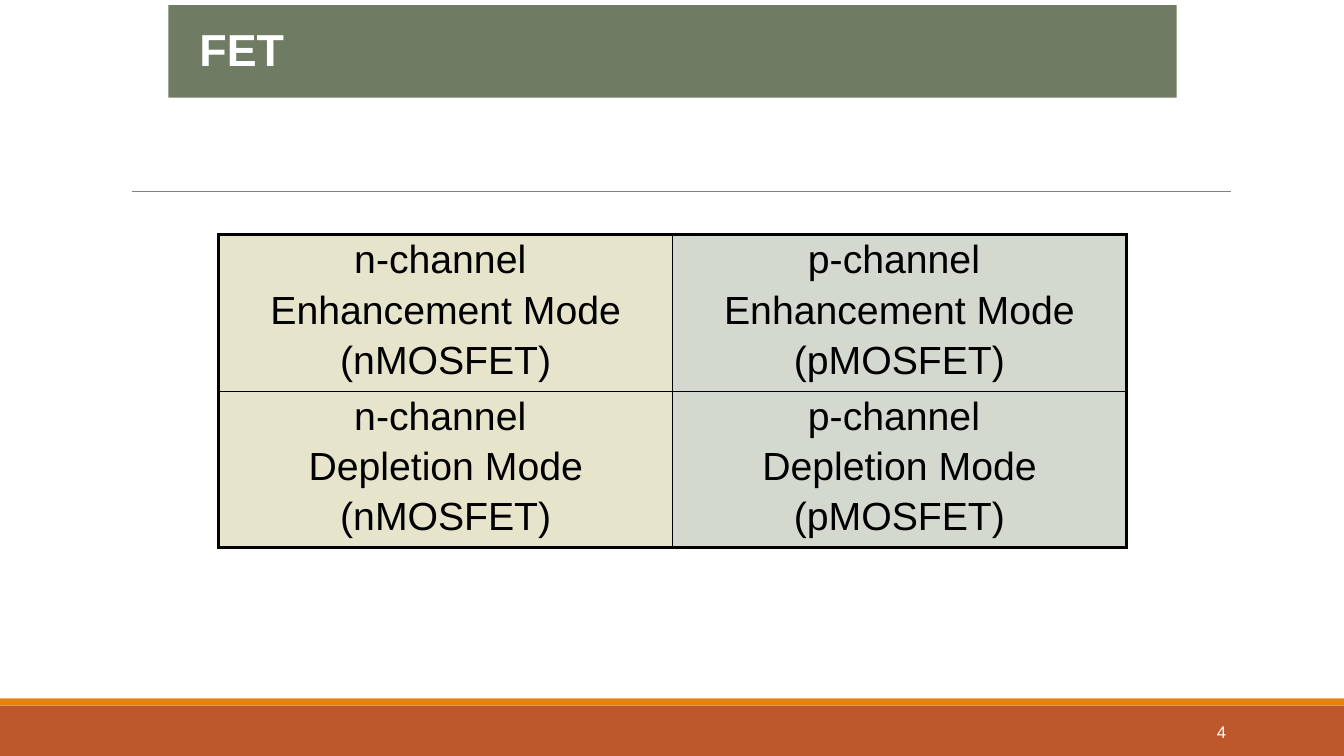
from dataclasses import dataclass

from lxml.etree import SubElement
from pptx import Presentation
from pptx.dml.color import RGBColor
from pptx.enum.shapes import MSO_CONNECTOR, MSO_SHAPE
from pptx.enum.text import MSO_ANCHOR, PP_ALIGN
from pptx.oxml.ns import qn
from pptx.slide import Slide
from pptx.table import _Cell
from pptx.util import Inches, Pt

FONT = "Arial"
WHITE = "FFFFFF"
BLACK = "000000"
OUTER_BORDER = 2.21
INNER_BORDER = 0.96


@dataclass
class Band:
    left: float
    top: float
    width: float
    height: float
    color: str


@dataclass
class Label:
    text: str
    left: float
    top: float
    width: float
    height: float
    size: int
    bold: bool
    alignment: PP_ALIGN


@dataclass
class Channel:
    letter: str
    color: str


BANDS = [
    Band(0, 7, 13.33, 0.5, "BD582C"),
    Band(0, 6.93, 13.33, 0.07, "E48312"),
    Band(1.67, 0.05, 10, 0.92, "6F7B63"),
]
LABELS = [
    Label("FET", 1.88, 0.17, 8.58, 0.62, 32, True, PP_ALIGN.LEFT),
    Label("4", 10.83, 7.06, 1.43, 0.4, 12, False, PP_ALIGN.RIGHT),
]
CHANNELS = [Channel("n", "E7E4CC"), Channel("p", "D4D9CF")]
MODES = ["Enhancement", "Depletion"]


def rgb(color: str) -> RGBColor:
    return RGBColor.from_string(color)


def add_band(slide: Slide, band: Band) -> None:
    shape = slide.shapes.add_shape(
        MSO_SHAPE.RECTANGLE, Inches(band.left), Inches(band.top),
        Inches(band.width), Inches(band.height))
    shape.shadow.inherit = False
    shape.fill.solid()
    shape.fill.fore_color.rgb = rgb(band.color)
    shape.line.fill.background()


def add_rule(slide: Slide) -> None:
    """Draw the thin grey line below the title."""
    rule = slide.shapes.add_connector(
        MSO_CONNECTOR.STRAIGHT, Inches(1.31), Inches(1.9), Inches(12.21), Inches(1.9))
    rule.line.color.rgb = rgb("808080")
    rule.line.width = Pt(0.5)
    SubElement(rule._element.spPr, qn("a:effectLst"))


def add_label(slide: Slide, label: Label) -> None:
    text_frame = slide.shapes.add_textbox(
        Inches(label.left), Inches(label.top),
        Inches(label.width), Inches(label.height)).text_frame
    text_frame.word_wrap = True
    text_frame.vertical_anchor = MSO_ANCHOR.MIDDLE
    text_frame.text = label.text
    paragraph = text_frame.paragraphs[0]
    paragraph.alignment = label.alignment
    font = paragraph.runs[0].font
    font.name, font.size, font.bold = FONT, Pt(label.size), label.bold
    font.color.rgb = rgb(WHITE)


def set_borders(cell: _Cell, row: int, column: int) -> None:
    """Give the cell thick edges outside the table and thin ones inside."""
    outer_edges = {
        "a:lnL": column == 0,
        "a:lnR": column == len(CHANNELS) - 1,
        "a:lnT": row == 0,
        "a:lnB": row == len(MODES) - 1,
    }
    properties = cell._tc.get_or_add_tcPr()
    for tag, is_outer in outer_edges.items():
        width = Pt(OUTER_BORDER if is_outer else INNER_BORDER)
        border = SubElement(properties, qn(tag), w=str(width))
        fill = SubElement(border, qn("a:solidFill"))
        SubElement(fill, qn("a:srgbClr"), val=BLACK)


def fill_cell(cell: _Cell, channel: Channel, mode: str) -> None:
    cell.fill.solid()
    cell.fill.fore_color.rgb = rgb(channel.color)
    cell.text_frame.text = (
        f"{channel.letter}-channel \n{mode} Mode\n({channel.letter}MOSFET)")
    for index, paragraph in enumerate(cell.text_frame.paragraphs):
        paragraph.alignment = PP_ALIGN.CENTER
        paragraph.line_spacing = 0.97
        if index:
            paragraph.space_before = Pt(5.6)
        font = paragraph.runs[0].font
        font.name, font.size = FONT, Pt(28)
        font.color.rgb = rgb(BLACK)


def add_mode_table(slide: Slide) -> None:
    table = slide.shapes.add_table(
        len(MODES), len(CHANNELS), Inches(2.17), Inches(2.33),
        Inches(9), Inches(3.1)).table
    table.first_row = False
    table.horz_banding = False
    for row, mode in enumerate(MODES):
        for column, channel in enumerate(CHANNELS):
            cell = table.cell(row, column)
            set_borders(cell, row, column)
            fill_cell(cell, channel, mode)


def main() -> None:
    presentation = Presentation()
    presentation.slide_width = Inches(13.33)
    presentation.slide_height = Inches(7.5)
    slide = presentation.slides.add_slide(presentation.slide_layouts[6])
    for band in BANDS:
        add_band(slide, band)
    add_rule(slide)
    add_mode_table(slide)
    for label in LABELS:
        add_label(slide, label)
    presentation.save("out.pptx")


if __name__ == "__main__":
    main()
